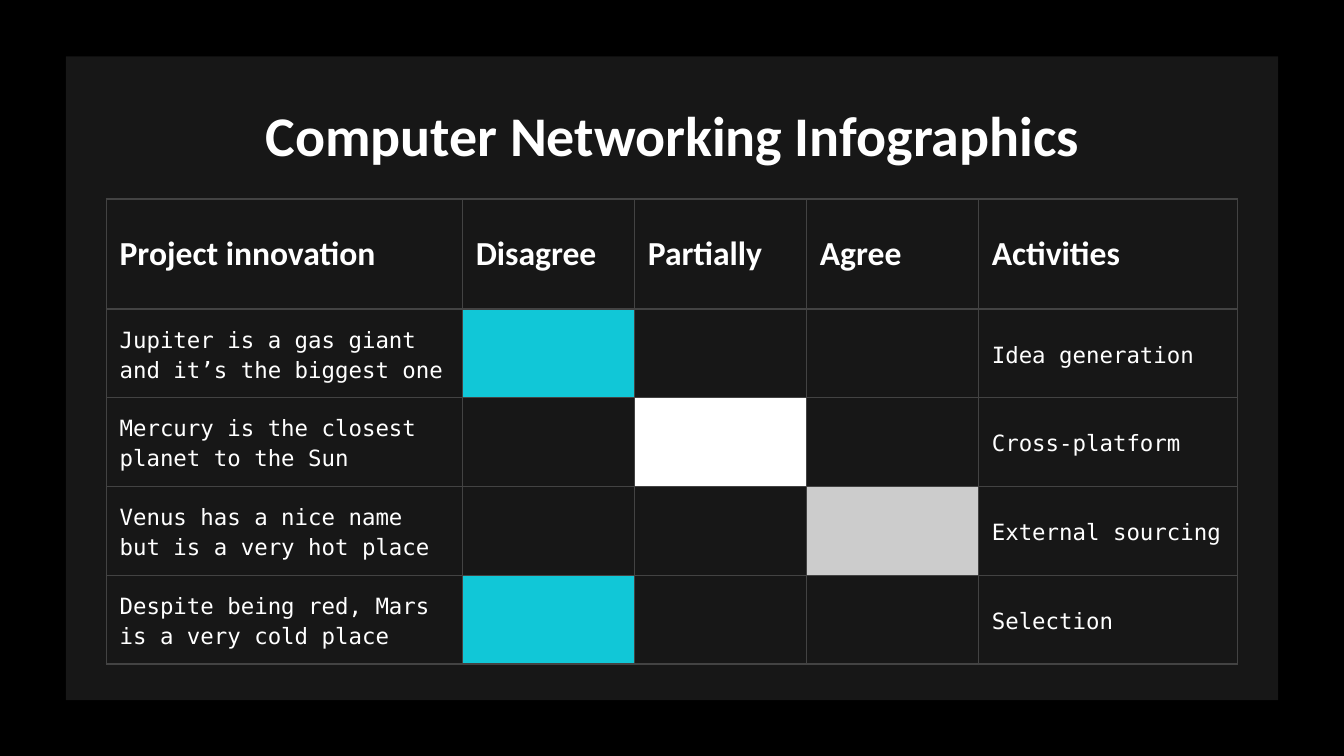
import lxml.etree
import pptx
import pptx.dml.color
import pptx.enum.shapes
import pptx.enum.text
import pptx.oxml.ns
import pptx.util

Inches = pptx.util.Inches
RGBColor = pptx.dml.color.RGBColor
Align = pptx.enum.text.PP_ALIGN

BLACK = RGBColor(0x00, 0x00, 0x00)
PANEL = RGBColor(0x17, 0x17, 0x17)
GRID = RGBColor(0x43, 0x43, 0x43)
WHITE = RGBColor(0xFF, 0xFF, 0xFF)
CYAN = RGBColor(0x11, 0xC7, 0xD7)
SILVER = RGBColor(0xCC, 0xCC, 0xCC)

HEADINGS = ["Project innovation", "Disagree", "Partially", "Agree", "Activities"]
ANSWERS = [
    ("Jupiter is a gas giant and it’s the biggest one", "Disagree", "Idea generation"),
    ("Mercury is the closest planet to the Sun", "Partially", "Cross-platform"),
    ("Venus has a nice name but is a very hot place", "Agree", "External sourcing"),
    ("Despite being red, Mars is a very cold place", "Disagree", "Selection"),
]
ANSWER_COLORS = {"Disagree": CYAN, "Partially": WHITE, "Agree": SILVER}
COLUMN_WIDTHS = [2.65, 1.28, 1.28, 1.28, 1.93]
ROW_HEIGHTS = [0.82] + [0.66] * len(ANSWERS)


def write_text(frame, text, *, font, size, bold=False, align=Align.LEFT,
               line_spacing=None, space_after=None):
    paragraph = frame.paragraphs[0]
    paragraph.alignment = align
    if line_spacing is not None:
        paragraph.line_spacing = line_spacing
    if space_after is not None:
        paragraph.space_after = pptx.util.Pt(space_after)
    run = paragraph.add_run()
    run.text = text
    run.font.name = font
    run.font.size = pptx.util.Pt(size)
    run.font.bold = bold
    run.font.color.rgb = WHITE


class SlideBuilder:
    heading_style = {"font": "Calibri", "size": 18, "bold": True}
    body_style = {"font": "DejaVu Sans Mono", "size": 12,
                  "line_spacing": 1.15, "space_after": 12}
    margin = Inches(0.1)
    border_width = pptx.util.Pt(0.75)

    def __init__(self, slide):
        self.slide = slide
        slide.background.fill.solid()
        slide.background.fill.fore_color.rgb = BLACK

    def set_margins(self, target):
        target.margin_left = target.margin_right = self.margin
        target.margin_top = target.margin_bottom = self.margin

    def panel(self, left, top, width, height):
        shape = self.slide.shapes.add_shape(
            pptx.enum.shapes.MSO_SHAPE.RECTANGLE,
            Inches(left), Inches(top), Inches(width), Inches(height))
        shape.shadow.inherit = False
        shape.fill.solid()
        shape.fill.fore_color.rgb = PANEL
        shape.line.fill.background()

    def title(self, text, left, top, width, height):
        box = self.slide.shapes.add_textbox(
            Inches(left), Inches(top), Inches(width), Inches(height))
        frame = box.text_frame
        frame.word_wrap = True
        self.set_margins(frame)
        write_text(frame, text, font="Calibri", size=30, bold=True, align=Align.CENTER)

    def borders(self, cell):
        qn = pptx.oxml.ns.qn
        properties = cell._tc.get_or_add_tcPr()
        for side in ("a:lnL", "a:lnR", "a:lnT", "a:lnB"):
            line = lxml.etree.SubElement(properties, qn(side), w=str(self.border_width))
            fill = lxml.etree.SubElement(line, qn("a:solidFill"))
            lxml.etree.SubElement(fill, qn("a:srgbClr"), val=str(GRID))

    def cell(self, cell, text="", color=None, style=None):
        cell.vertical_anchor = pptx.enum.text.MSO_ANCHOR.MIDDLE
        self.set_margins(cell)
        self.borders(cell)
        if color is None:
            cell.fill.background()
        else:
            cell.fill.solid()
            cell.fill.fore_color.rgb = color
        if text:
            write_text(cell.text_frame, text, **style)

    def survey_table(self, left, top):
        table = self.slide.shapes.add_table(
            len(ROW_HEIGHTS), len(COLUMN_WIDTHS), Inches(left), Inches(top),
            Inches(sum(COLUMN_WIDTHS)), Inches(sum(ROW_HEIGHTS))).table
        table.first_row = False
        table.horz_banding = False
        for column, width in zip(table.columns, COLUMN_WIDTHS):
            column.width = Inches(width)
        for row, height in zip(table.rows, ROW_HEIGHTS):
            row.height = Inches(height)
        for column, heading in enumerate(HEADINGS):
            self.cell(table.cell(0, column), heading, style=self.heading_style)
        for row, (statement, answer, activity) in enumerate(ANSWERS, start=1):
            texts = {"Project innovation": statement, "Activities": activity}
            for column, heading in enumerate(HEADINGS):
                color = ANSWER_COLORS[answer] if heading == answer else None
                self.cell(table.cell(row, column), texts.get(heading, ""),
                          color, self.body_style)


def main():
    presentation = pptx.Presentation()
    presentation.slide_width = Inches(10)
    presentation.slide_height = presentation.slide_width * 9 // 16
    builder = SlideBuilder(presentation.slides.add_slide(presentation.slide_layouts[6]))
    builder.panel(0.49, 0.42, 9.02, 4.79)
    builder.title("Computer Networking Infographics", 0.79, 0.65, 8.43, 0.63)
    builder.survey_table(0.79, 1.48)
    presentation.save("out.pptx")


if __name__ == "__main__":
    main()
